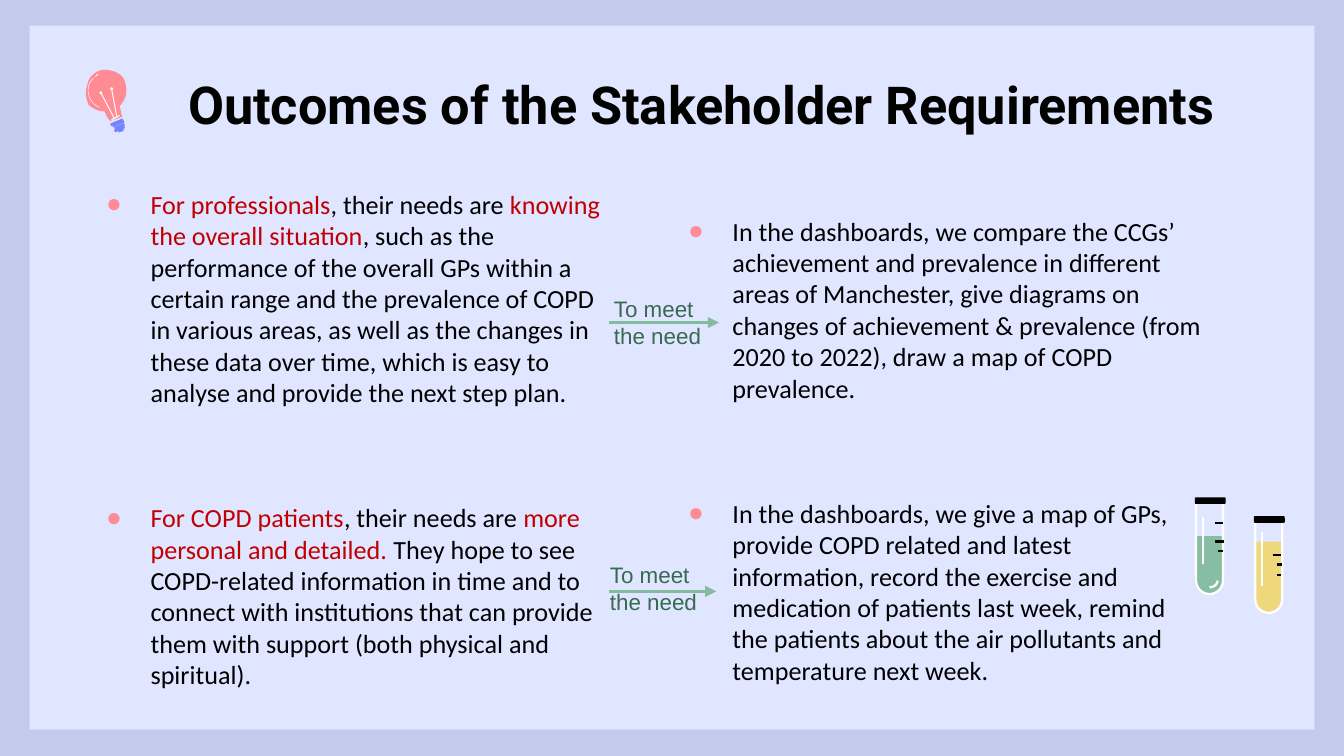
from math import cos, pi, sin

from lxml.etree import SubElement
from pptx import Presentation
from pptx.dml.color import RGBColor
from pptx.enum.shapes import MSO_CONNECTOR, MSO_SHAPE
from pptx.enum.text import MSO_ANCHOR, MSO_AUTO_SIZE, PP_ALIGN
from pptx.oxml.ns import qn
from pptx.util import Inches, Pt

BLACK, WHITE, RED = "010100", "FFFFFF", "C00000"
CORAL, BLUE, GREEN = "FF8C95", "7482FF", "83BB9F"

NEEDS = [
    [("For professionals", RED), (", their needs are ", "000000"),
     ("knowing the overall situation", RED),
     (", such as the performance of the overall GPs within a certain range and the prevalence "
      "of COPD in various areas, as well as the changes in these data over time, which is easy "
      "to analyse and provide the next step plan.", "000000")],
    [("For COPD patients", RED), (", their needs are ", "000000"),
     ("more personal and detailed. ", RED),
     ("They hope to see COPD-related information in time and to connect with institutions that "
      "can provide them with support (both physical and spiritual).", "000000")],
]
OUTCOMES = [
    [("In the dashboards, we compare the CCGs’ achievement and prevalence in different areas of "
      "Manchester, give diagrams on changes of achievement & prevalence (from 2020 to 2022), "
      "draw a map of COPD prevalence.", "000000")],
    [("In the dashboards, we give a map of GPs, provide COPD related and latest information, "
      "record the exercise and medication of patients last week, remind the patients about the "
      "air pollutants and temperature next week.", "000000")],
]


def color(value):
    """Turn a hex string into a colour."""
    return RGBColor.from_string(value)


def place(shape, left, top, width, height):
    """Set the box of a shape in inches."""
    shape.left, shape.top = Inches(left), Inches(top)
    shape.width, shape.height = Inches(width), Inches(height)


def style(shape, fill=None, line=None, width=1.22):
    """Set fill and outline, leaving out whichever is not given."""
    shape.shadow.inherit = False
    if fill:
        shape.fill.solid()
        shape.fill.fore_color.rgb = color(fill)
    else:
        shape.fill.background()
    if line:
        shape.line.color.rgb = color(line)
        shape.line.width = Pt(width)
    else:
        shape.line.fill.background()


def add_block(shapes, kind, left, top, width, height, fill):
    """Add a filled preset shape."""
    shape = shapes.add_shape(kind, Inches(left), Inches(top), Inches(width), Inches(height))
    style(shape, fill)
    return shape


def add_line(shapes, start, end, line, width=1.22):
    """Add a straight line between two points."""
    connector = shapes.add_connector(
        MSO_CONNECTOR.STRAIGHT, *[Inches(value) for value in (*start, *end)])
    connector.line.color.rgb = color(line)
    connector.line.width = Pt(width)
    SubElement(connector._element.spPr, qn("a:effectLst"))
    return connector


def add_outline(shapes, left, top, points, closed=True, **look):
    """Add a freeform through points relative to a corner."""
    points = [(Inches(left + x), Inches(top + y)) for x, y in points]
    builder = shapes.build_freeform(*points[0], scale=1.0)
    builder.add_line_segments(points[1:], close=closed)
    style(builder.convert_to_shape(), **look)


def curve(start, *segments, steps=8):
    """Sample a chain of cubic curves, each given as two handles and an end."""
    points = [start]
    for first, second, end in segments:
        origin = points[-1]
        for step in range(1, steps + 1):
            t = step / steps
            u = 1 - t
            points.append(tuple(
                u**3 * a + 3 * u * u * t * b + 3 * u * t * t * c + t**3 * d
                for a, b, c, d in zip(origin, first, second, end)))
    return points


def add_title(title, left, top, width, height):
    """Fill the title placeholder."""
    place(title, left, top, width, height)
    frame = title.text_frame
    frame.auto_size = MSO_AUTO_SIZE.NONE
    frame.vertical_anchor = MSO_ANCHOR.TOP
    frame.margin_top = frame.margin_bottom = Inches(0.1)
    paragraph = frame.paragraphs[0]
    paragraph.text = "Outcomes of the Stakeholder Requirements"
    paragraph.alignment = PP_ALIGN.CENTER
    font = paragraph.font
    font.name, font.size, font.bold = "Roboto", Pt(28), True
    font.color.rgb = color(BLACK)


def add_list(body, items, left, top, width, height):
    """Fill a body placeholder with widely spaced bullet items."""
    place(body, left, top, width, height)
    frame = body.text_frame
    frame.auto_size = MSO_AUTO_SIZE.NONE
    for index, runs in enumerate(items):
        paragraph = frame.add_paragraph() if index else frame.paragraphs[0]
        properties = paragraph._p.get_or_add_pPr()
        properties.set("marL", str(Inches(0.5)))
        properties.set("indent", str(Inches(-0.33)))
        bullet_color = SubElement(properties, qn("a:buClr"))
        SubElement(bullet_color, qn("a:srgbClr"), val=CORAL)
        SubElement(properties, qn("a:buChar"), char="●")
        paragraph.space_before = Pt(50.3 if index else 0)
        paragraph.font.name, paragraph.font.size = "Calibri", Pt(14)
        for text, run_color in runs:
            run = paragraph.add_run()
            run.text = text
            run.font.color.rgb = color(run_color)


def add_need_arrow(slide, left, top, length, label_left, label_top):
    """Draw an arrow with its two-line label."""
    arrow = add_line(slide.shapes, (left, top), (left + length, top), GREEN, 1.5)
    SubElement(arrow.line._get_or_add_ln(), qn("a:tailEnd"), type="triangle")
    label = slide.shapes.add_textbox(
        Inches(label_left), Inches(label_top), Inches(0.87), Inches(0.5))
    frame = label.text_frame
    frame.word_wrap = False
    frame.auto_size = MSO_AUTO_SIZE.SHAPE_TO_FIT_TEXT
    frame.text = "To meet\nthe need"
    for paragraph in frame.paragraphs:
        paragraph.font.name, paragraph.font.size = "Arial", Pt(12)
        paragraph.font.color.rgb = color("396952")


def add_tube(slide, left, top, liquid, level, glint, ticks, shine=False):
    """Draw a test tube whose glass starts at the given corner."""
    shapes = slide.shapes.add_group_shape().shapes
    base = [(0.1 + 0.1 * cos(pi * step / 16), 0.59 + 0.1 * sin(pi * step / 16))
            for step in range(17)]
    add_outline(shapes, left, top, [(0, level), (0.2, level), *base], fill=liquid)
    add_outline(shapes, left, top, [(0, 0), (0.2, 0), *base], line=WHITE)
    add_line(shapes, (left + 0.05, top + glint[0]), (left + 0.05, top + glint[1]), WHITE)
    for start, end, height in ticks:
        add_line(shapes, (left + start, top + height), (left + end, top + height), BLACK)
    if shine:
        arc = curve((0.1, 0.64), ((0.13, 0.64), (0.16, 0.62), (0.16, 0.59)))
        add_outline(shapes, left, top, arc, closed=False, line=WHITE)
    add_block(shapes, MSO_SHAPE.ROUNDED_RECTANGLE, left - 0.01, top - 0.03, 0.23, 0.05, BLACK)


def add_bulb(slide, left, top):
    """Draw a tilted light bulb from its top left corner."""
    shapes = slide.shapes.add_group_shape().shapes
    glass = curve(
        (0.16, 0), ((0.15, 0), (0.14, 0), (0.13, 0)), ((0.08, 0.01), (0.03, 0.05), (0.02, 0.11)),
        ((0, 0.16), (0.01, 0.22), (0.03, 0.26)), ((0.06, 0.29), (0.11, 0.31), (0.15, 0.31)),
        ((0.16, 0.34), (0.17, 0.36), (0.19, 0.38)), ((0.22, 0.37), (0.25, 0.36), (0.28, 0.35)),
        ((0.27, 0.32), (0.27, 0.3), (0.26, 0.27)), ((0.28, 0.25), (0.29, 0.23), (0.3, 0.21)),
        ((0.32, 0.16), (0.31, 0.09), (0.28, 0.05)), ((0.25, 0.02), (0.2, 0), (0.16, 0)))
    add_outline(shapes, left, top, glass, fill=CORAL)
    for x, y, width in [(0.24, 0.39, 0.1), (0.25, 0.4, 0.09), (0.26, 0.42, 0.08),
                        (0.26, 0.44, 0.08), (0.27, 0.45, 0.04)]:
        band = add_block(shapes, MSO_SHAPE.ROUNDED_RECTANGLE, left + x - width / 2,
                         top + y - 0.01, width, 0.02, BLUE)
        band.rotation = -23
    gloss = curve((0.07, 0.06), ((0.03, 0.09), (0.02, 0.14), (0.03, 0.18)),
                  ((0.04, 0.23), (0.07, 0.26), (0.11, 0.28)))
    add_outline(shapes, left, top, gloss, closed=False, line=WHITE, width=0.25)
    for x1, y1, x2, y2 in [(0.08, 0.05, 0.1, 0.03), (0.12, 0.17, 0.22, 0.36),
                           (0.2, 0.14, 0.24, 0.35), (0.2, 0.37, 0.26, 0.34)]:
        add_line(shapes, (left + x1, top + y1), (left + x2, top + y2), WHITE, 0.5)
    for x, y in [(0.19, 0.13), (0.11, 0.16)]:
        add_block(shapes, MSO_SHAPE.OVAL, left + x, top + y, 0.02, 0.02, WHITE)


def main():
    """Build the slide and save it."""
    presentation = Presentation()
    presentation.slide_width = Inches(10)
    presentation.slide_height = presentation.slide_width * 9 // 16
    slide = presentation.slides.add_slide(presentation.slide_layouts[3])
    slide.background.fill.solid()
    slide.background.fill.fore_color.rgb = color("C3CBEC")
    panel = add_block(slide.shapes, MSO_SHAPE.RECTANGLE, 0.22, 0.19, 9.56, 5.24, "E0E6FF")
    slide.shapes._spTree.insert(2, panel._element)
    add_title(slide.shapes.title, 0.87, 0.44, 8.69, 0.63)
    add_tube(slide, 8.9, 3.73, "87BEA3", 0.26, (0.12, 0.47),
             [(0.14, 0.2, 0.16), (0.14, 0.21, 0.3), (0.16, 0.2, 0.37)], shine=True)
    add_tube(slide, 9.34, 3.87, "EFD77C", 0.16, (0.09, 0.49),
             [(0.13, 0.19, 0.26), (0.16, 0.2, 0.33), (0.16, 0.19, 0.41)])
    add_bulb(slide, 0.63, 0.52)
    add_list(slide.placeholders[1], NEEDS, 0.52, 1.35, 4.19, 3.87)
    add_list(slide.placeholders[2], OUTCOMES, 4.85, 1.55, 4.19, 3.64)
    add_need_arrow(slide, 4.53, 2.4, 0.82, 4.47, 2.15)
    add_need_arrow(slide, 4.53, 4.4, 0.8, 4.44, 4.13)
    presentation.save("out.pptx")


if __name__ == "__main__":
    main()
